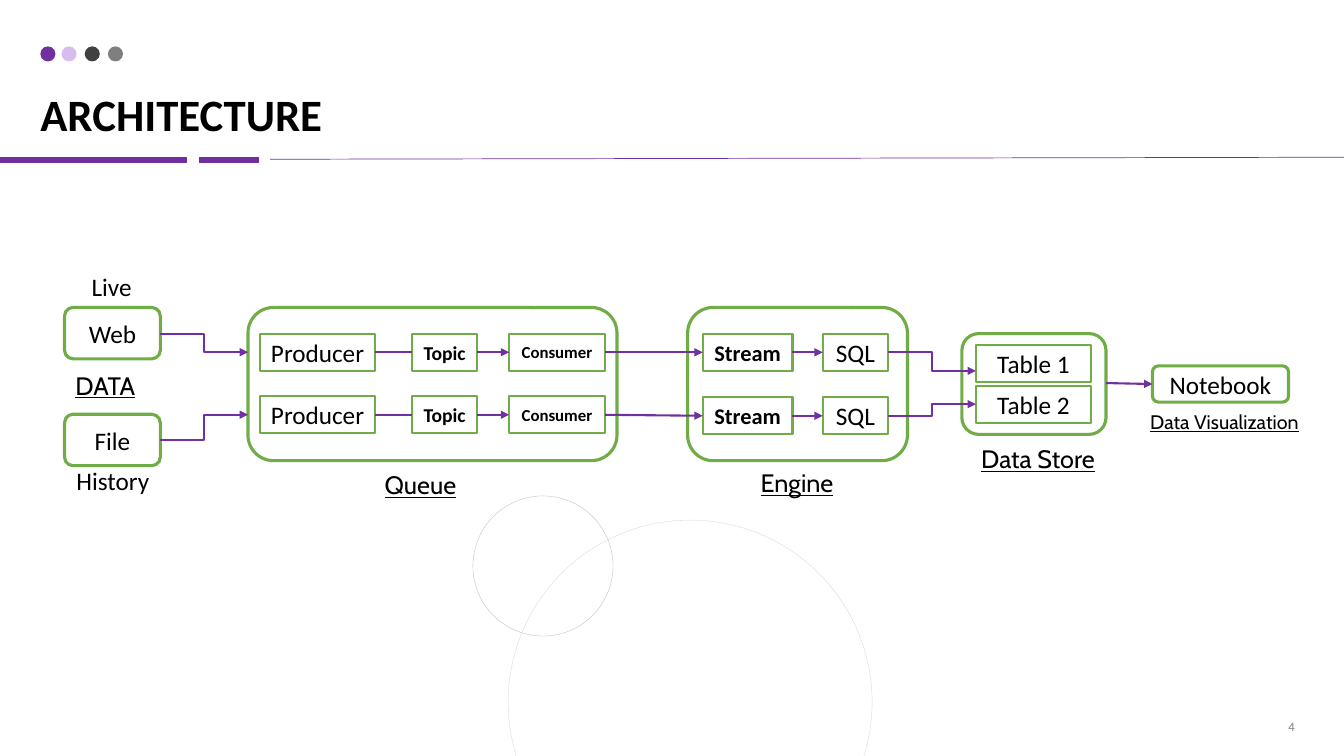
from collections import namedtuple
from dataclasses import dataclass

from lxml import etree
from pptx import Presentation
from pptx import util as u
from pptx.dml.color import RGBColor
from pptx.enum import shapes, text
from pptx.oxml import ns

Box = namedtuple("Box", "x y w h")
Cell = namedtuple("Cell", "name dx w size bold")
RECT = shapes.MSO_SHAPE.RECTANGLE
ROUND = shapes.MSO_SHAPE.ROUNDED_RECTANGLE
OVAL = shapes.MSO_SHAPE.OVAL
LEFT, CENTER, RIGHT = text.PP_ALIGN.LEFT, text.PP_ALIGN.CENTER, text.PP_ALIGN.RIGHT
TOP, MIDDLE, BOTTOM = text.MSO_ANCHOR.TOP, text.MSO_ANCHOR.MIDDLE, text.MSO_ANCHOR.BOTTOM


@dataclass(frozen=True)
class Theme:
    purple: str = "7030A0"
    lilac: str = "C7A2E3"
    dark: str = "404040"
    gray: str = "7F7F7F"
    ring: str = "BFBFBF"
    pale: str = "D9D9D9"
    green: str = "70AD47"
    white: str = "FFFFFF"
    black: str = "000000"
    body: str = "Calibri"
    label: str = "Cabin"
    title: float = 32
    large: float = 18
    medium: float = 16
    small: float = 14
    tiny: float = 12
    page: float = 9
    frame: float = 2.25
    thin: float = 1.5
    hair: float = 0.25


T = Theme()
CELL_H = 0.37


def inches(*values):
    return [u.Inches(v) for v in values]


def add_run(para, words, size, font=T.body, color=T.black, bold=False, under=False):
    run = para.add_run()
    run.text = words
    face = run.font
    face.name, face.size = font, u.Pt(size)
    face.bold, face.underline = bold, under
    face.color.rgb = RGBColor.from_string(color)


def add_shape(slide, kind, box, fill=None, line=None, width=T.thin):
    shape = slide.shapes.add_shape(kind, *inches(*box))
    shape.shadow.inherit = False
    if fill:
        shape.fill.solid()
        shape.fill.fore_color.rgb = RGBColor.from_string(fill)
    else:
        shape.fill.background()
    if line:
        shape.line.color.rgb = RGBColor.from_string(line)
        shape.line.width = u.Pt(width)
    else:
        shape.line.fill.background()
    return shape


def add_node(slide, kind, box, words="", size=T.large, bold=False):
    """Draw a white box with a green outline and centred words."""
    width = T.frame if kind == ROUND else T.thin
    frame = add_shape(slide, kind, box, T.white, T.green, width).text_frame
    if words:
        frame.margin_left = frame.margin_right = 0
        frame.vertical_anchor = MIDDLE
        frame.paragraphs[0].alignment = CENTER
        add_run(frame.paragraphs[0], words, size, bold=bold)


def add_text(slide, box, words, size, align=CENTER, anchor=TOP, wrap=True, **look):
    frame = slide.shapes.add_textbox(*inches(*box)).text_frame
    frame.word_wrap, frame.vertical_anchor = wrap, anchor
    frame.paragraphs[0].alignment = align
    add_run(frame.paragraphs[0], words, size, **look)
    return frame


def add_label(slide, box, words, size=T.large, align=CENTER):
    add_text(slide, box, words, size, align, font=T.label, under=True)


def add_line(slide, start, end, width=T.thin, arrow=False, bent=False):
    kind = shapes.MSO_CONNECTOR.ELBOW if bent else shapes.MSO_CONNECTOR.STRAIGHT
    line = slide.shapes.add_connector(kind, *inches(*start, *end))
    line.line.color.rgb = RGBColor.from_string(T.purple)
    line.line.width = u.Pt(width)
    if arrow:
        etree.SubElement(line.line._get_or_add_ln(), ns.qn("a:tailEnd"), type="triangle")
    etree.SubElement(line._element.spPr, ns.qn("a:effectLst"))


def add_header(slide, box):
    for dx, color in zip((0, 0.21, 0.44, 0.67), (T.purple, T.lilac, T.dark, T.gray)):
        dot = add_shape(slide, OVAL, Box(box.x + dx, box.y + 0.06, 0.15, 0.15), color)
        if color == T.lilac:
            tint = dot.fill._xPr.find(".//" + ns.qn("a:srgbClr"))
            etree.SubElement(tint, ns.qn("a:alpha"), val="70000")
    frame = add_text(slide, box, "ARCHITECTURE", T.title, LEFT, BOTTOM, bold=True)
    frame.margin_left = frame.margin_right = frame.margin_top = frame.margin_bottom = 0
    frame.paragraphs[0].line_spacing = 0.9
    rule = box.y + box.h + 0.19
    for left, right in ((0, 1.85), (1.97, 2.57)):
        add_line(slide, (left, rule), (right, rule), 4.5)
    add_line(slide, (2.68, rule - 0.01), (13.33, rule - 0.03), 0.5)


def add_rings(slide, box):
    add_shape(slide, OVAL, Box(box.x + 0.35, box.y + 0.24, 3.61, 3.61), None, T.pale, T.hair)
    add_shape(slide, OVAL, Box(box.x, box.y, 1.39, 1.39), None, T.ring, T.hair)


def add_inputs(slide, box):
    """Draw the two data inputs; return the points where they end."""
    rows = (box.y, box.y + 1.06)
    for name, top in zip(("Web", "File"), rows):
        add_node(slide, ROUND, Box(box.x, top, box.w, 0.51), name)
    add_text(slide, Box(box.x + 0.17, box.y - 0.41, 0.6, 0.4), "Live", T.large, LEFT, wrap=False)
    add_label(slide, Box(box.x + 0.01, box.y + 0.57, box.w, 0.4), "DATA", align=LEFT)
    add_text(slide, Box(box.x + 0.02, box.y + 1.52, 0.93, 0.4), "History", T.large, LEFT, wrap=False)
    return [(box.x + box.w, top + 0.26) for top in rows]


def add_stage(slide, box, cells, rows, plain=()):
    """Draw a frame with equal lanes of cells; return each lane's first and last point.

    Links whose index is in plain have no arrowhead.
    """
    add_node(slide, ROUND, box)
    lanes = []
    for dy in rows:
        top = box.y + dy
        mid = top + CELL_H / 2
        for cell in cells:
            place = Box(box.x + cell.dx, top, cell.w, CELL_H)
            add_node(slide, RECT, place, cell.name, cell.size, cell.bold)
        for i, (a, b) in enumerate(zip(cells, cells[1:])):
            add_line(slide, (box.x + a.dx + a.w, mid), (box.x + b.dx, mid), arrow=i not in plain)
        last = cells[-1]
        lanes.append(((box.x + cells[0].dx, mid), (box.x + last.dx + last.w, mid)))
    return lanes


def add_store(slide, box):
    """Draw the tables; return the points where rows come in."""
    add_node(slide, ROUND, box)
    for name, dy in (("Table 1", 0.11), ("Table 2", 0.52)):
        add_node(slide, RECT, Box(box.x + 0.14, box.y + dy, 1.14, CELL_H), name)
    add_label(slide, Box(box.x - 0.18, box.y + 1.04, 1.87, 0.4), "Data Store")
    return [(box.x + 0.14, box.y + dy) for dy in (0.37, 0.7)]


def add_view(slide, box):
    add_node(slide, ROUND, box, "Notebook")
    add_label(slide, Box(box.x - 0.22, box.y + 0.39, 1.87, 0.57), "Data Visualization", T.small)


def add_flow(slide):
    queue, engine = Box(2.46, 3.05, 3.66, 1.52), Box(6.82, 3.05, 2.18, 1.52)
    store, view = Box(9.54, 3.31, 1.43, 1), Box(11.43, 3.63, 1.35, 0.36)
    inputs = add_inputs(slide, Box(0.64, 3.05, 0.95, 1.57))
    lanes = add_stage(slide, queue, (
        Cell("Producer", 0.12, 1.14, T.large, False),
        Cell("Topic", 1.63, 0.64, T.small, True),
        Cell("Consumer", 2.59, 0.95, T.tiny, True),
    ), (0.26, 0.88), plain=(0,))
    add_label(slide, Box(queue.x, queue.y + 1.56, 3.42, 0.4), "Queue")
    jobs = add_stage(slide, engine, (
        Cell("Stream", 0.15, 0.89, T.medium, True),
        Cell("SQL", 1.34, 0.65, T.large, False),
    ), (0.26, 0.89))
    add_label(slide, Box(engine.x + 0.15, engine.y + 1.54, 1.87, 0.4), "Engine")
    tables = add_store(slide, store)
    add_view(slide, view)
    for source, lane, job, table in zip(inputs, lanes, jobs, tables):
        add_line(slide, source, (queue.x, lane[0][1]), arrow=True, bent=True)
        add_line(slide, lane[1], job[0], arrow=True)
        add_line(slide, job[1], table, arrow=True, bent=True)
    add_line(slide, (store.x + store.w, store.y + 0.49), (view.x, view.y + 0.18), arrow=True)


def main():
    deck = Presentation()
    deck.slide_width, deck.slide_height = inches(13.33, 7.5)
    slide = deck.slides.add_slide(deck.slide_layouts[6])
    add_rings(slide, Box(4.69, 4.92, 3.96, 3.85))
    add_header(slide, Box(0.4, 0.4, 12.54, 1))
    add_flow(slide)
    add_text(slide, Box(9.94, 7.07, 3, 0.27), "4", T.page, RIGHT, MIDDLE, color=T.gray)
    deck.save("out.pptx")


if __name__ == "__main__":
    main()
